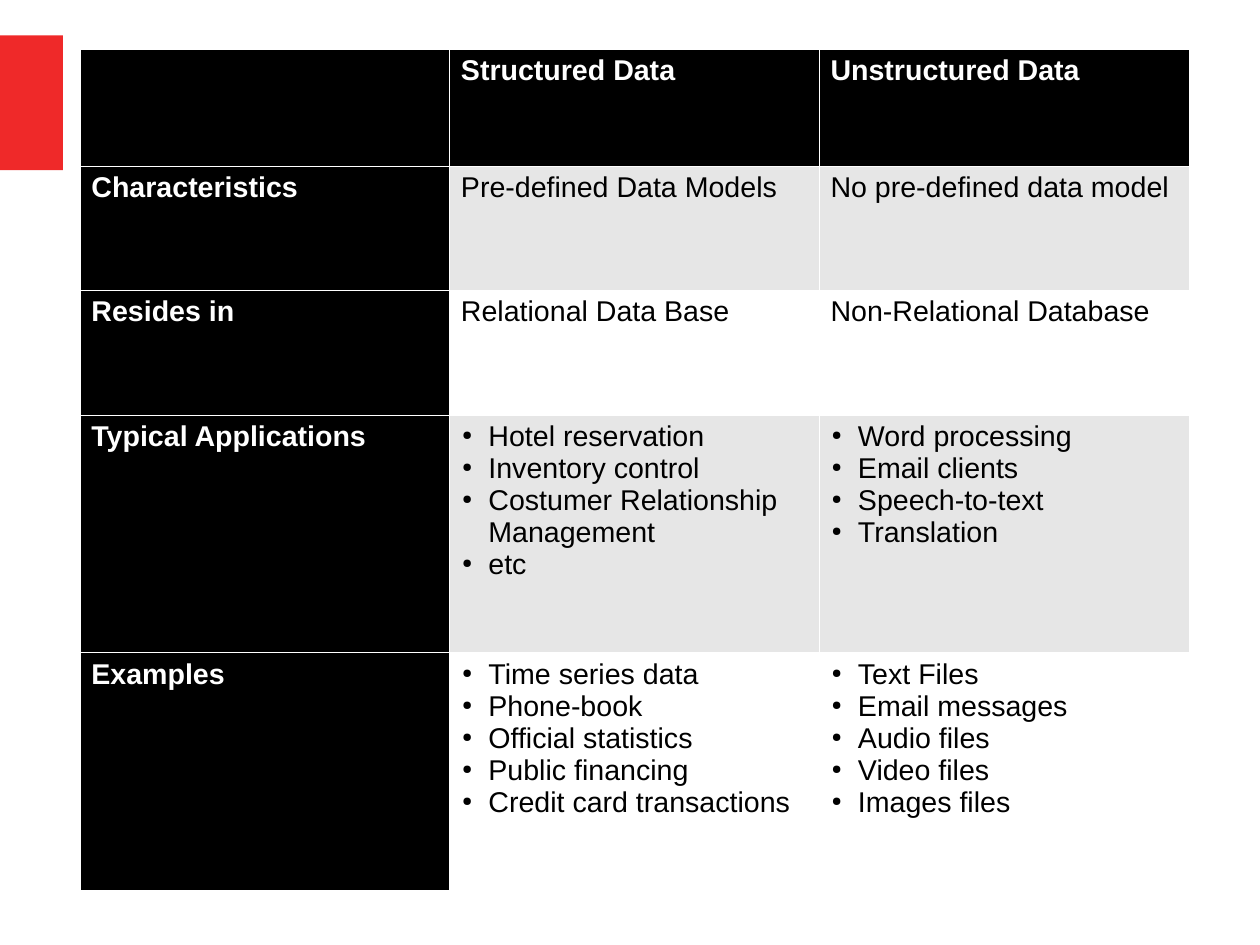
"""Build a slide with a table comparing structured and unstructured data."""
from lxml import etree
from pptx import Presentation
from pptx.dml.color import RGBColor
from pptx.enum.shapes import MSO_SHAPE
from pptx.oxml.ns import qn
from pptx.util import Cm, Inches, Pt

RECTANGLE = MSO_SHAPE.RECTANGLE
BLACK = RGBColor(0x00, 0x00, 0x00)
WHITE = RGBColor(0xFF, 0xFF, 0xFF)
GREY = RGBColor(0xE6, 0xE6, 0xE6)
RED = RGBColor(0xEF, 0x29, 0x29)

ROWS = [
    ("", "Structured Data", "Unstructured Data"),
    ("Characteristics", "Pre-defined Data Models", "No pre-defined data model"),
    ("Resides in", "Relational Data Base", "Non-Relational Database"),
    (
        "Typical Applications",
        ["Hotel reservation", "Inventory control",
         "Costumer Relationship Management", "etc"],
        ["Word processing", "Email clients", "Speech-to-text", "Translation"],
    ),
    (
        "Examples",
        ["Time series data", "Phone-book", "Official statistics",
         "Public financing", "Credit card transactions"],
        ["Text Files", "Email messages", "Audio files", "Video files",
         "Images files"],
    ),
]
ROW_HEIGHTS = [1.02, 1.09, 1.09, 2.08, 2.08]
TABLE_LEFT, TABLE_TOP, TABLE_WIDTH = 0.7, 0.43, 9.7


def add_bullet(para):
    """Give a paragraph a small hanging round bullet."""
    properties = para._p.get_or_add_pPr()
    properties.set("marL", str(Inches(0.24)))
    properties.set("indent", str(Inches(-0.23)))
    color = etree.SubElement(properties, qn("a:buClr"))
    etree.SubElement(color, qn("a:srgbClr"), val=str(BLACK))
    etree.SubElement(properties, qn("a:buSzPct"), val="45000")
    etree.SubElement(properties, qn("a:buChar"), char="●")


def add_borders(cell):
    """Draw a hairline on every side of a cell."""
    properties = cell._tc.get_or_add_tcPr()
    for side in ("a:lnL", "a:lnR", "a:lnT", "a:lnB"):
        line = etree.SubElement(properties, qn(side), w=str(Pt(0.06)))
        fill = etree.SubElement(line, qn("a:solidFill"))
        etree.SubElement(fill, qn("a:srgbClr"), val=str(WHITE))


def write_text(frame, lines, *, color, bold=False, bullets=False):
    """Write each line as one formatted paragraph."""
    for index, line in enumerate(lines):
        para = frame.add_paragraph() if index else frame.paragraphs[0]
        if bullets:
            add_bullet(para)
        span = para.add_run()
        span.text = line
        span.font.name = "Arial"
        span.font.size = Pt(18)
        span.font.bold = bold
        span.font.color.rgb = color


def fill_cell(cell, content, *, heading, shade):
    """Style one table cell and write its content."""
    add_borders(cell)
    cell.fill.solid()
    cell.fill.fore_color.rgb = shade
    cell.margin_left = cell.margin_right = Inches(0.1)
    cell.margin_top = cell.margin_bottom = Inches(0.05)
    bullets = isinstance(content, list)
    if content:
        write_text(cell.text_frame, content if bullets else [content],
                   color=WHITE if heading else BLACK, bold=heading,
                   bullets=bullets)


def add_comparison(page):
    """Add the comparison table."""
    column_count = len(ROWS[0])
    table = page.shapes.add_table(
        len(ROWS), column_count, Inches(TABLE_LEFT), Inches(TABLE_TOP),
        Inches(TABLE_WIDTH), Inches(sum(ROW_HEIGHTS))).table
    for column in table.columns:
        column.width = Inches(TABLE_WIDTH / column_count)
    for row_index, (contents, height) in enumerate(zip(ROWS, ROW_HEIGHTS)):
        table.rows[row_index].height = Inches(height)
        band = GREY if row_index % 2 else WHITE
        for column_index, content in enumerate(contents):
            heading = row_index == 0 or column_index == 0
            fill_cell(table.cell(row_index, column_index), content,
                      heading=heading, shade=BLACK if heading else band)


def main():
    """Build and save the deck."""
    deck = Presentation()
    deck.slide_width = Cm(28)
    deck.slide_height = Cm(21)
    page = deck.slides.add_slide(deck.slide_layouts[6])
    accent = page.shapes.add_shape(
        RECTANGLE, Inches(0), Inches(0.31), Inches(0.55), Inches(1.18))
    accent.shadow.inherit = False
    accent.fill.solid()
    accent.fill.fore_color.rgb = RED
    accent.line.fill.background()
    add_comparison(page)
    deck.save("out.pptx")


if __name__ == "__main__":
    main()
